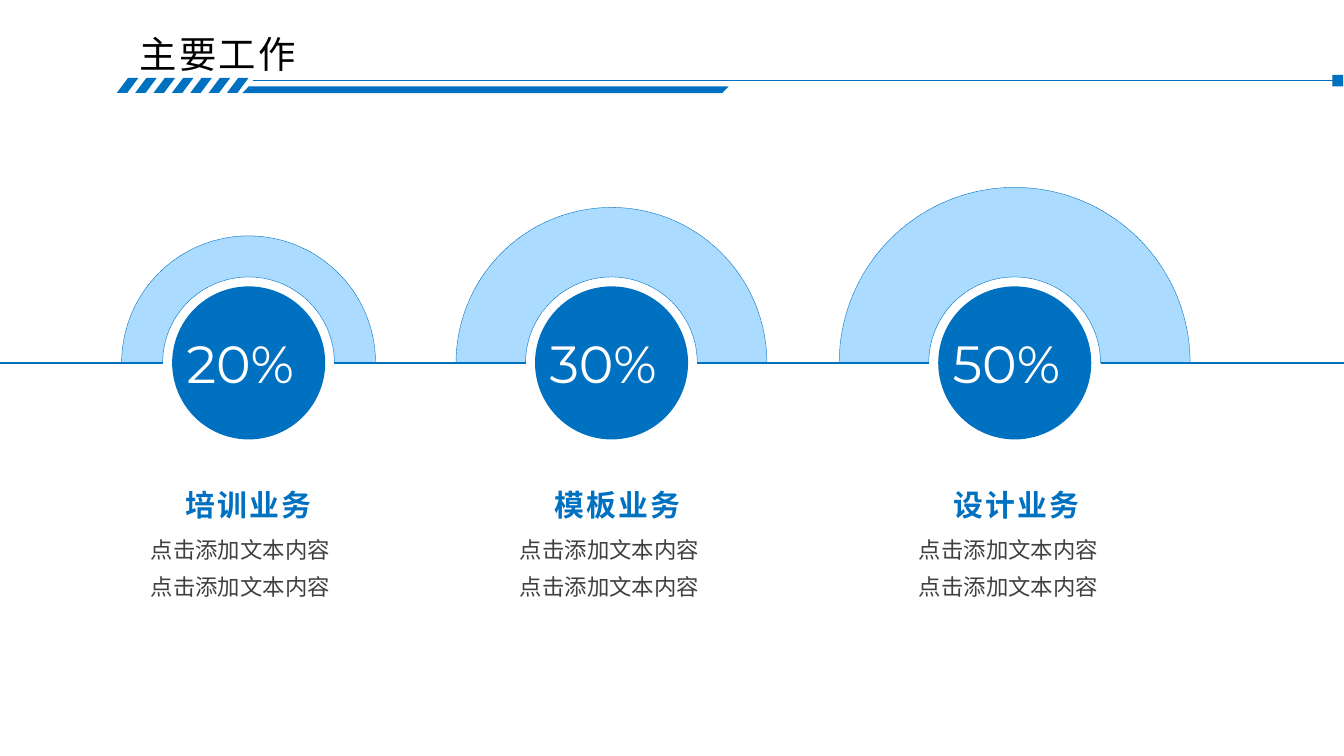
from lxml.etree import SubElement
from pptx import Presentation
from pptx.dml.color import RGBColor
from pptx.enum.dml import MSO_LINE
from pptx.enum.shapes import MSO_CONNECTOR, MSO_SHAPE
from pptx.enum.text import MSO_ANCHOR, MSO_AUTO_SIZE, PP_ALIGN
from pptx.oxml.ns import qn
from pptx.util import Pt

COLORS = {"blue": "0070C0", "light": "ABDBFF", "white": "FFFFFF",
          "black": "000000", "gray": "404040"}
CHINESE = "Noto Sans CJK SC"
FORMATS = {
    "title": {"size": Pt(20), "name": CHINESE, "bold": False, "color": "black", "spacing": 120},
    "percent": {"size": Pt(28), "name": "Montserrat", "color": "white"},
    "heading": {"size": Pt(16), "name": CHINESE, "bold": True, "color": "blue", "spacing": 120},
    "body": {"size": Pt(12), "name": CHINESE, "color": "gray"},
}


def paint(shape, color):
    shape.shadow.inherit = False
    shape.fill.solid()
    shape.fill.fore_color.rgb = RGBColor.from_string(COLORS[color])
    shape.line.fill.background()


def write(shape, text, style, alignment=PP_ALIGN.LEFT, wrap=False):
    frame = shape.text_frame
    frame.word_wrap = wrap
    frame.auto_size = MSO_AUTO_SIZE.SHAPE_TO_FIT_TEXT
    frame.vertical_anchor = MSO_ANCHOR.TOP
    paragraph = frame.paragraphs[0]
    paragraph.alignment = alignment
    run = paragraph.add_run()
    run.text = text
    for key, value in FORMATS[style].items():
        if key == "color":
            run.font.color.rgb = RGBColor.from_string(COLORS[value])
        elif key == "spacing":
            run._r.get_or_add_rPr().set("spc", str(value))
        else:
            setattr(run.font, key, value)
    east_asian = SubElement(run._r.get_or_add_rPr(), qn("a:ea"))
    east_asian.set("typeface", FORMATS[style]["name"])


presentation = Presentation()
presentation.slide_width, presentation.slide_height = Pt(720), Pt(405)
slide = presentation.slides.add_slide(presentation.slide_layouts[5])
shapes = slide.shapes

# Title
title = shapes.title
title.left, title.top, title.width, title.height = Pt(67.7), Pt(13), Pt(100), Pt(31.5)
write(title, "主要工作", "title")

# Header stripes, bar and end square
for index in range(7):
    left = 62.6 + index * 9.84
    builder = shapes.build_freeform(Pt(left), Pt(49.8))
    builder.add_line_segments([(Pt(left + 6), Pt(41.8)), (Pt(left + 11.5), Pt(41.8)),
                               (Pt(left + 5.6), Pt(49.8))], close=True)
    paint(builder.convert_to_shape(), "blue")

bar = shapes.add_shape(MSO_SHAPE.PARALLELOGRAM, Pt(129.8), Pt(46.3), Pt(260.6), Pt(3.6))
bar.adjustments[0] = 0.97
paint(bar, "blue")
square = shapes.add_shape(MSO_SHAPE.RECTANGLE, Pt(713.8), Pt(40.1), Pt(5.8), Pt(6.2))
paint(square, "blue")

# Percentage circles under half rings, with captions
radius, gap_radius, axis = 41, 46, 194.4
items = [
    ("20%", "培训业务", 133.2, 136, 133.2),
    ("30%", "模板业务", 327.6, 166.5, 331),
    ("50%", "设计业务", 543.6, 188, 544.7),
]
for percent, heading, center, diameter, caption_center in items:
    circle = shapes.add_shape(MSO_SHAPE.OVAL, Pt(center - radius), Pt(axis - radius),
                              Pt(2 * radius), Pt(2 * radius))
    paint(circle, "blue")

    ring = shapes.add_shape(MSO_SHAPE.BLOCK_ARC, Pt(center - diameter / 2),
                            Pt(axis - diameter / 2), Pt(diameter), Pt(diameter))
    ring.adjustments[0] = 108
    ring.adjustments[1] = 0
    ring.adjustments[2] = (diameter / 2 - gap_radius) / diameter
    paint(ring, "light")
    ring.line.color.rgb = RGBColor.from_string(COLORS["blue"])
    ring.line.width = Pt(0.25)
    ring.line.dash_style = MSO_LINE.SQUARE_DOT

    label = shapes.add_textbox(Pt(center - 40.3), Pt(174.2), Pt(80.6), Pt(41))
    write(label, percent, "percent")
    caption = shapes.add_textbox(Pt(caption_center - 42), Pt(257), Pt(84), Pt(26.6))
    write(caption, heading, "heading", PP_ALIGN.CENTER)
    for top in (283.6, 303.8):
        body = shapes.add_textbox(Pt(caption_center - 59.5), Pt(top), Pt(119), Pt(21.6))
        write(body, "点击添加文本内容", "body", wrap=True)

# Header line, and axis segments between the circles
centers = [item[2] for item in items]
starts = [0] + [center + gap_radius for center in centers]
ends = [center - gap_radius for center in centers] + [720]
lines = [(135.4, 719.6, 43.2)] + [(start, end, axis) for start, end in zip(starts, ends)]
for start, end, height in lines:
    line = shapes.add_connector(MSO_CONNECTOR.STRAIGHT, Pt(start), Pt(height),
                                Pt(end), Pt(height))
    line.line.color.rgb = RGBColor.from_string(COLORS["blue"])
    line.line.width = Pt(0.75)
    SubElement(line._element.spPr, qn("a:effectLst"))
    if height != axis:
        line.end_connect(square, 3)

presentation.save("out.pptx")
